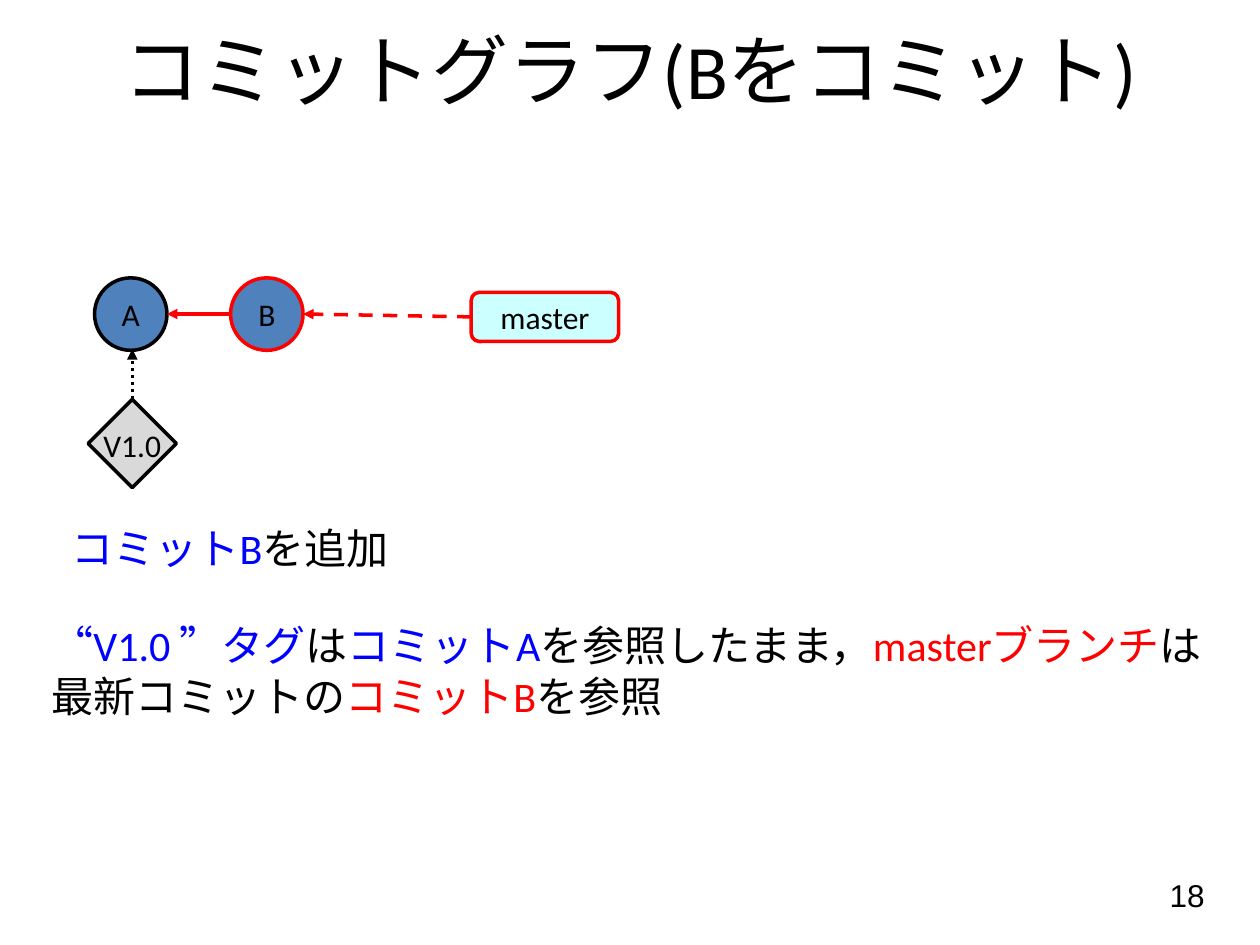
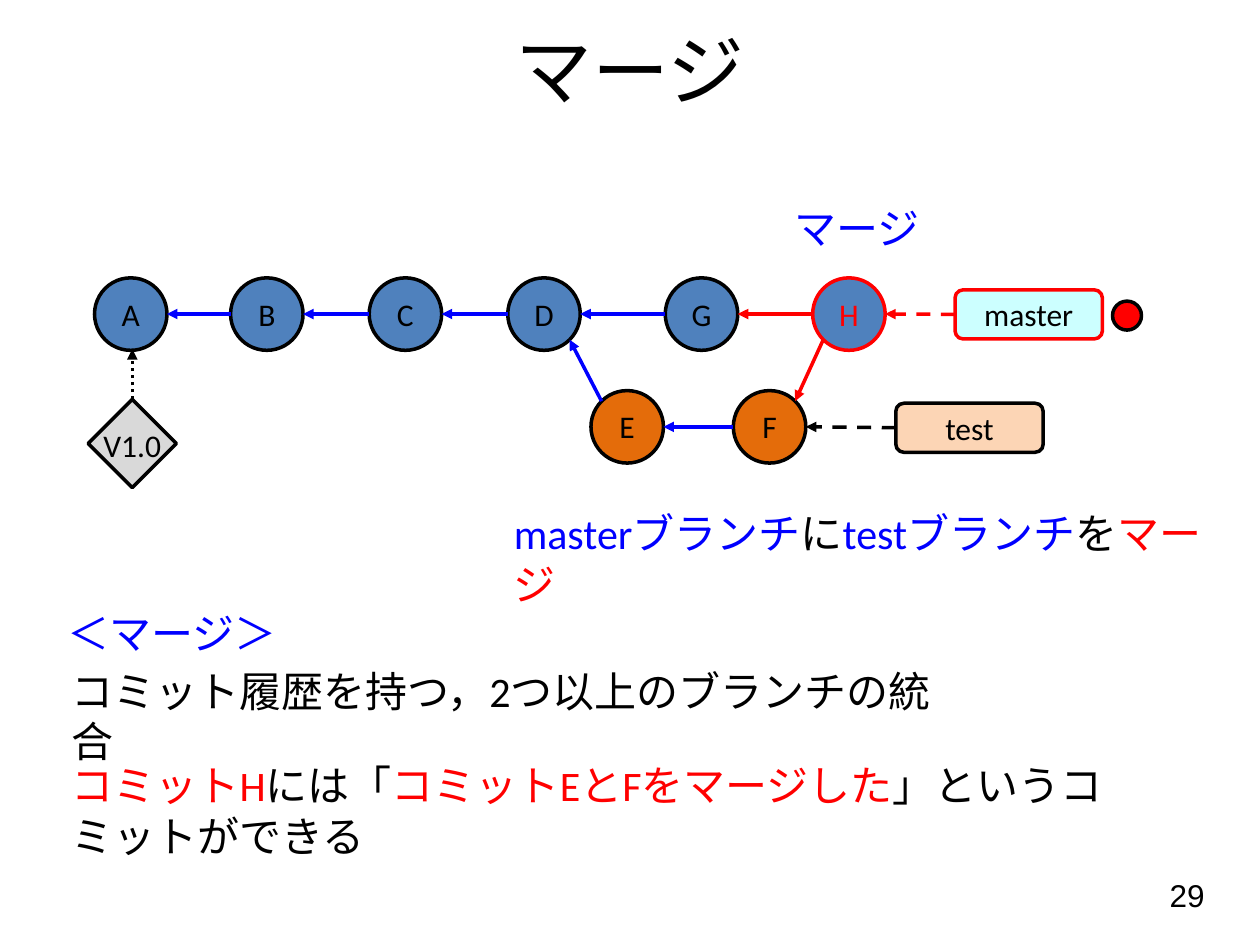
from math import copysign, sqrt

from lxml import etree
from pptx import Presentation
from pptx import util as u
from pptx.dml.color import RGBColor
from pptx.enum import dml, shapes, text
from pptx.oxml.ns import qn

BLACK, RED, BLUE = "000000", "FF0000", "0000FF"
STEEL, ORANGE, PEACH, AQUA, GREY = "4F81BD", "E46C0A", "FCD5B5", "CCFFFF", "D9D9D9"
LEFT, CENTER, RIGHT = text.PP_ALIGN.LEFT, text.PP_ALIGN.CENTER, text.PP_ALIGN.RIGHT
TOP, MIDDLE = text.MSO_ANCHOR.TOP, text.MSO_ANCHOR.MIDDLE
SOLID, DASH, DOTS = None, dml.MSO_LINE.DASH, dml.MSO_LINE.ROUND_DOT


def paint(target, color):
    if hasattr(target, "solid"):
        target.solid()
        target = target.fore_color
    target.rgb = RGBColor.from_string(color)


def write(frame, words, size=18, color=BLACK, font="Calibri", align=LEFT, anchor=TOP, wrap=True):
    frame.word_wrap = wrap
    frame.vertical_anchor = anchor
    lines = [[(words, color)]] if isinstance(words, str) else words
    for number, line in enumerate(lines):
        para = frame.add_paragraph() if number else frame.paragraphs[0]
        para.alignment = align
        for part, ink in line:
            span = para.add_run()
            span.text = part
            span.font.size = u.Pt(size)
            span.font.name = font
            paint(span.font.color, ink)


deck = Presentation()
deck.slide_width, deck.slide_height = u.Inches(10), u.Inches(7.5)
column, row = deck.slide_width / 100, deck.slide_height / 75

DIAMETER = 5.75
RADIUS = DIAMETER / 2
DIAGONAL = RADIUS / sqrt(2)
MAIN_ROW, TEST_ROW = 22.05, 31
PLACES = {
    "A": (7.5, MAIN_ROW), "B": (18.3, MAIN_ROW), "C": (29.3, MAIN_ROW), "D": (40.3, MAIN_ROW),
    "G": (52.8, MAIN_ROW), "H": (64.5, MAIN_ROW), "E": (46.9, TEST_ROW), "F": (58.2, TEST_ROW),
}

pages = [
    {
        "title": "コミットグラフ(Bをコミット)",
        "number": "18",
        "commits": "AB",
        "new": "B",
        "new_ink": BLACK,
        "parents": [("B", "A", RED)],
        "branches": [("master", 37.4, 23.2, AQUA, RED, "B")],
        "notes": [
            (4.7, 41, 49.2, 5, LEFT, [[("コミットB", BLUE), ("を追加", BLACK)]]),
            (3.1, 48.7, 94.5, 9, LEFT, [
                [("“V1.0 ”タグ", BLUE), ("は", BLACK), ("コミットA", BLUE),
                 ("を参照したまま，", BLACK), ("masterブランチ", RED), ("は", BLACK)],
                [("最新コミットの", BLACK), ("コミットB", RED), ("を参照", BLACK)],
            ]),
        ],
        "markers": [],
    },
    {
        "title": "マージ",
        "number": "29",
        "commits": "ABCDEFGH",
        "new": "H",
        "new_ink": RED,
        "parents": [("B", "A", BLUE), ("C", "B", BLUE), ("D", "C", BLUE), ("E", "D", BLUE),
                    ("F", "E", BLUE), ("G", "D", BLUE), ("H", "G", RED), ("H", "F", RED)],
        "branches": [("master", 75.8, 23, AQUA, RED, "H"), ("test", 71.1, 32, PEACH, BLACK, "F")],
        "notes": [
            (56.3, 15.6, 23.4, 5, CENTER, [[("マージ", BLUE)]]),
            (39.8, 39.8, 57.8, 9, LEFT, [
                [("masterブランチ", BLUE), ("に", BLACK), ("testブランチ", BLUE),
                 ("を", BLACK), ("マージ", RED)],
            ]),
            (4.4, 47.7, 18.6, 5, LEFT, [[("＜マージ＞", BLUE)]]),
            (4.7, 52.3, 70.3, 9, LEFT, [[("コミット履歴を持つ，2つ以上のブランチの統合", BLACK)]]),
            (4.7, 59.8, 85.9, 9, LEFT, [
                [("コミットH", RED), ("には「", BLACK), ("コミットEとFをマージした", RED),
                 ("」というコミットができる", BLACK)],
            ]),
        ],
        "markers": [(88.3, 23.9)],
    },
]

for content in pages:
    page = deck.slides.add_slide(deck.slide_layouts[6])

    texts = [
        ((0, -0.8, 100, 12.5), content["title"], dict(size=44, align=CENTER, anchor=MIDDLE)),
        ((73.3, 69, 23.3, 5.2), content["number"], dict(font="Arial", align=RIGHT)),
    ]
    for x, y, width, height, align, lines in content["notes"]:
        texts.append(((x, y, width, height), lines, dict(size=24, align=align)))

    nodes = []
    for name in content["commits"]:
        is_new = name == content["new"]
        x, y = PLACES[name]
        nodes.append((name, shapes.MSO_SHAPE.OVAL, (x, y, DIAMETER, DIAMETER),
                      ORANGE if y == TEST_ROW else STEEL, RED if is_new else BLACK,
                      dict(color=content["new_ink"] if is_new else BLACK)))
    for name, x, y, fill, edge, commit in content["branches"]:
        nodes.append((name, shapes.MSO_SHAPE.ROUNDED_RECTANGLE, (x, y, 11.7, 3.9),
                      fill, edge, dict(anchor=MIDDLE)))
    nodes.append(("tag", shapes.MSO_SHAPE.DIAMOND, (7, 31.7, 7, 7), GREY, BLACK, None))
    texts.append(((7, 33.3, 7, 4), "V1.0", dict(align=CENTER)))
    for x, y in content["markers"]:
        nodes.append(("marker", shapes.MSO_SHAPE.OVAL, (x, y, 2.3, 2.3), RED, BLACK, None))

    drawn = {}
    for name, kind, (x, y, width, height), fill, edge, style in nodes:
        node = page.shapes.add_shape(kind, u.Emu(round(x * column)), u.Emu(round(y * row)),
                                     u.Emu(round(width * column)), u.Emu(round(height * row)))
        node.shadow.inherit = False
        paint(node.fill, fill)
        paint(node.line.fill, edge)
        node.line.width = u.Pt(2)
        if style is not None:
            write(node.text_frame, name, align=CENTER, **style)
        drawn[name] = node

    for (x, y, width, height), words, style in texts:
        box = page.shapes.add_textbox(u.Emu(round(x * column)), u.Emu(round(y * row)),
                                      u.Emu(round(width * column)), u.Emu(round(height * row)))
        write(box.text_frame, words, **style)

    arrows = [((10.5, 31.7), (10.5, 27.7), BLACK, DOTS, ("tag", 0))]
    for child, parent, color in content["parents"]:
        (x1, y1), (x2, y2) = [(x + RADIUS, y + RADIUS) for x, y in (PLACES[child], PLACES[parent])]
        reach_x, reach_y = (RADIUS, 0) if y1 == y2 else (DIAGONAL, DIAGONAL)
        shift_x, shift_y = copysign(reach_x, x2 - x1), copysign(reach_y, y2 - y1)
        arrows.append(((x1 + shift_x, y1 + shift_y), (x2 - shift_x, y2 - shift_y), color, SOLID, None))
    for name, x, y, fill, edge, commit in content["branches"]:
        commit_x, commit_y = PLACES[commit]
        arrows.append(((x, y + 1.95), (commit_x + DIAMETER, commit_y + RADIUS), edge, DASH, (name, 1)))

    for (x1, y1), (x2, y2), color, dash, joint in arrows:
        arrow = page.shapes.add_connector(shapes.MSO_CONNECTOR.STRAIGHT,
                                          u.Emu(round(x1 * column)), u.Emu(round(y1 * row)),
                                          u.Emu(round(x2 * column)), u.Emu(round(y2 * row)))
        if joint:
            name, side = joint
            arrow.begin_connect(drawn[name], side)
        paint(arrow.line.fill, color)
        arrow.line.width = u.Pt(2)
        if dash:
            arrow.line.dash_style = dash
        outline = arrow.line._get_or_add_ln()
        etree.SubElement(outline, qn("a:tailEnd"), type="triangle")
        etree.SubElement(outline.getparent(), qn("a:effectLst"))

deck.save("out.pptx")
